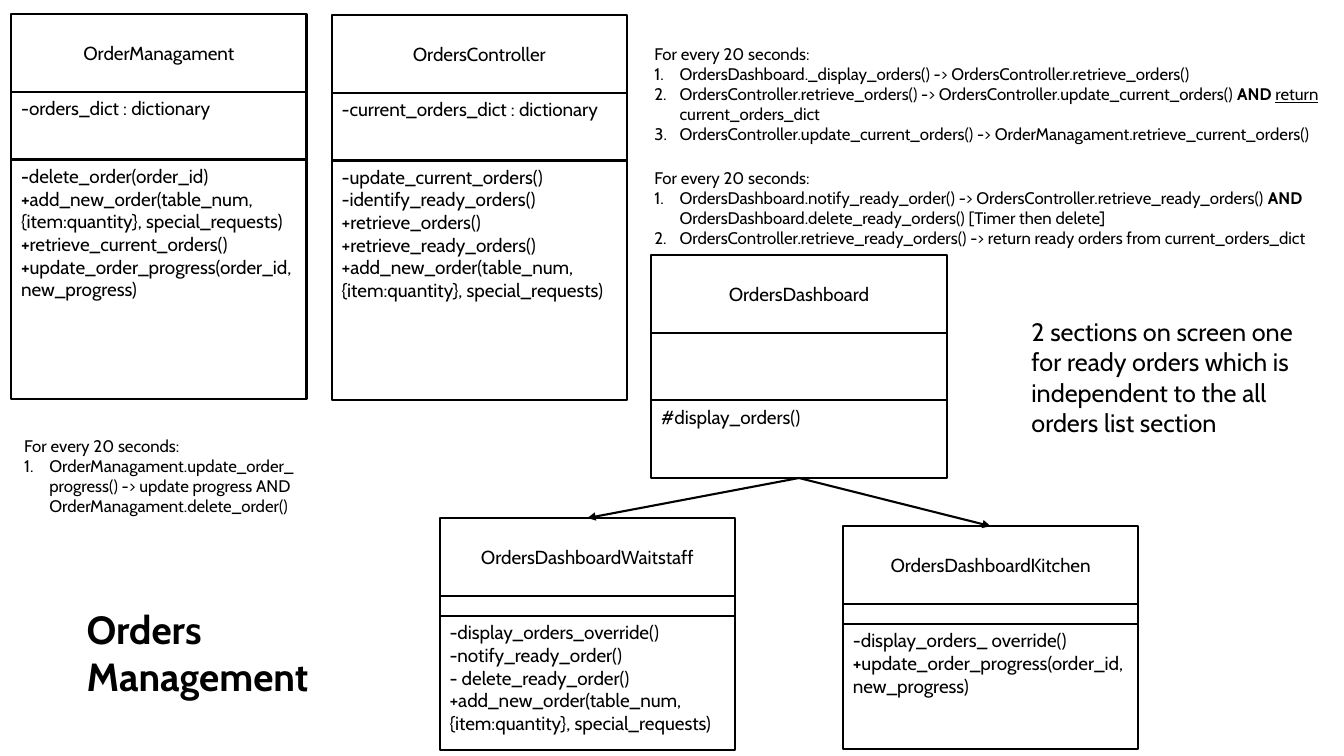
from lxml.etree import SubElement
from pptx import Presentation
from pptx.dml.color import RGBColor
from pptx.enum.shapes import MSO_CONNECTOR, MSO_SHAPE
from pptx.enum.text import MSO_ANCHOR, MSO_AUTO_SIZE, PP_ALIGN
from pptx.oxml.ns import qn
from pptx.util import Inches, Pt

SLIDE_WIDTH, SLIDE_HEIGHT = Inches(13.33), Inches(7.5)
FONT, INK = "Cabin", "000000"
CLASS_WIDTH, HEADER_HEIGHT = 21.98, 10.3
TIMER = "For every 20 seconds:"
ADD_ORDER = "+add_new_order(table_num, {item:quantity}, special_requests)"


def color(hex_code):
    """Turn a hex string into a colour."""
    return RGBColor.from_string(hex_code)


def area(left, top, width, height):
    """Turn percentages of the slide into a left, top, width, height box."""
    return (int(SLIDE_WIDTH * left / 100), int(SLIDE_HEIGHT * top / 100),
            int(SLIDE_WIDTH * width / 100), int(SLIDE_HEIGHT * height / 100))


def bold_sign(member):
    """Split a class member so that its visibility sign is bold."""
    return [(member[0], "bold"), (member[1:], "")]


def write(paragraph, content, size, align=PP_ALIGN.LEFT, bold=False, numbered=False):
    """Fill a paragraph from a string or from (words, style) pairs."""
    paragraph.alignment = align
    paragraph.space_before = Pt(0)
    properties = paragraph._p.get_or_add_pPr()
    indent = Inches(0.25) if numbered else 0
    properties.set("marL", str(indent))
    properties.set("indent", str(-indent))
    if numbered:
        SubElement(properties, qn("a:buAutoNum"), type="arabicPeriod")
    else:
        SubElement(properties, qn("a:buNone"))
    font = paragraph.font
    font.name, font.size = FONT, Pt(size)
    font.color.rgb = color(INK)
    if isinstance(content, str):
        font.bold = bold
        content = [(content, "")]
        mixed = False
    else:
        mixed = True
    for words, style in content:
        run = paragraph.add_run()
        run.text = words
        if mixed:
            run.font.bold = style == "bold"
        if style == "underline":
            run.font.underline = True


def fill_text(frame, lines, size, anchor=MSO_ANCHOR.TOP, heading=None, **style):
    """Write an optional heading and then each line as a paragraph."""
    frame.word_wrap = True
    frame.auto_size = MSO_AUTO_SIZE.NONE
    frame.vertical_anchor = anchor
    entries = [(line, style) for line in lines]
    if heading:
        entries.insert(0, (heading, {}))
    for index, (line, line_style) in enumerate(entries):
        paragraph = frame.add_paragraph() if index else frame.paragraphs[0]
        write(paragraph, line, size, **line_style)


def place(placeholder, box, lines, size, **style):
    """Move a placeholder and fill it with text."""
    placeholder.left, placeholder.top, placeholder.width, placeholder.height = area(*box)
    fill_text(placeholder.text_frame, lines, size, **style)


def add_class(slide, name, left, top, attributes_height, methods_height,
              attributes=(), methods=()):
    """Stack the three compartments of a class and return first and last."""
    group = slide.shapes.add_group_shape()
    compartments = []
    for height, lines, style in (
            (HEADER_HEIGHT, [name], {"anchor": MSO_ANCHOR.MIDDLE, "align": PP_ALIGN.CENTER}),
            (attributes_height, attributes, {}),
            (methods_height, methods, {})):
        compartment = group.shapes.add_shape(
            MSO_SHAPE.RECTANGLE, *area(left, top, CLASS_WIDTH, height))
        compartment.shadow.inherit = False
        compartment.fill.background()
        compartment.line.color.rgb = color(INK)
        compartment.line.width = Pt(1.5)
        fill_text(compartment.text_frame, lines, 13.5, **style)
        compartments.append(compartment)
        top += height
    return compartments[0], compartments[-1]


def add_arrow(slide, parent, child):
    """Point from the bottom of one compartment to the top of another."""
    arrow = slide.shapes.add_connector(MSO_CONNECTOR.STRAIGHT, 0, 0, 0, 0)
    arrow.begin_connect(parent, 2)
    arrow.end_connect(child, 0)
    arrow.line.color.rgb = color(INK)
    arrow.line.width = Pt(1.5)
    SubElement(arrow.line._get_or_add_ln(), qn("a:tailEnd"), type="triangle")
    SubElement(arrow._element.spPr, qn("a:effectLst"))


def add_classes(slide):
    """Draw the five classes and the two inheritance arrows."""
    add_class(slide, "OrderManagament", 0.83, 1.87, 8.93, 31.73,
              ["-orders_dict : dictionary"],
              [bold_sign(member) for member in (
                  "-delete_order(order_id)", ADD_ORDER, "+retrieve_current_orders()",
                  "+update_order_progress(order_id, new_progress)")])
    add_class(slide, "OrdersController", 24.68, 2, 8.93, 31.73,
              ["-current_orders_dict : dictionary"],
              ["-update_current_orders()", "-identify_ready_orders()",
               "+retrieve_orders()", "+retrieve_ready_orders()", ADD_ORDER])
    _, dashboard = add_class(slide, "OrdersDashboard", 48.46, 33.73, 8.93, 10.27,
                             methods=["#display_orders()"])
    kitchen, _ = add_class(
        slide, "OrdersDashboardKitchen", 62.72, 69.6, 2.65, 16.53,
        methods=["-display_orders_ override()",
                 bold_sign("+update_order_progress(order_id, new_progress)")])
    waitstaff, _ = add_class(
        slide, "OrdersDashboardWaitstaff", 32.71, 68.53, 2.65, 17.73,
        methods=["-display_orders_override()", "-notify_ready_order()",
                 "- delete_ready_order()", ADD_ORDER])
    for child in (waitstaff, kitchen):
        add_arrow(slide, dashboard, child)


def add_notes_on_flow(slide):
    """Fill the title, the three timed flows and the remark."""
    title, display, ready, remark, progress = slide.placeholders
    place(title, (5.7, 79.33, 19.2, 13.87), ["Orders Management"], 28,
          anchor=MSO_ANCHOR.MIDDLE, bold=True)
    place(display, (47.94, 5.07, 51.61, 17.47), [
        "OrdersDashboard._display_orders() -> OrdersController.retrieve_orders()",
        [("OrdersController.retrieve_orders() -> "
          "OrdersController.update_current_orders() ", ""),
         ("AND ", "bold"), ("return", "underline"), (" current_orders_dict", "")],
        "OrdersController.update_current_orders() -> "
        "OrderManagament.retrieve_current_orders()",
    ], 12, heading=TIMER, numbered=True)
    place(ready, (47.94, 21.47, 51.61, 12.13), [
        [("OrdersDashboard.notify_ready_order() -> "
          "OrdersController.retrieve_ready_orders() ", ""),
         ("AND ", "bold"),
         ("OrdersDashboard.delete_ready_orders() [Timer then delete]", "")],
        "OrdersController.retrieve_ready_orders() -> "
        "return ready orders from current_orders_dict",
    ], 12, heading=TIMER, numbered=True)
    place(remark, (75.99, 41.2, 23.56, 17.47), [
        "2 sections on screen one for ready orders which is independent "
        "to the all orders list section"], 18)
    place(progress, (1.05, 56.93, 21.76, 20.13), [
        "OrderManagament.update_order_progress() -> update progress AND "
        "OrderManagament.delete_order()"], 12, heading=TIMER, numbered=True)


def main():
    """Build and save the slide."""
    deck = Presentation()
    deck.slide_width, deck.slide_height = SLIDE_WIDTH, SLIDE_HEIGHT
    comparison_layout = deck.slide_layouts[4]
    slide = deck.slides.add_slide(comparison_layout)
    add_notes_on_flow(slide)
    add_classes(slide)
    deck.save("out.pptx")


if __name__ == "__main__":
    main()
